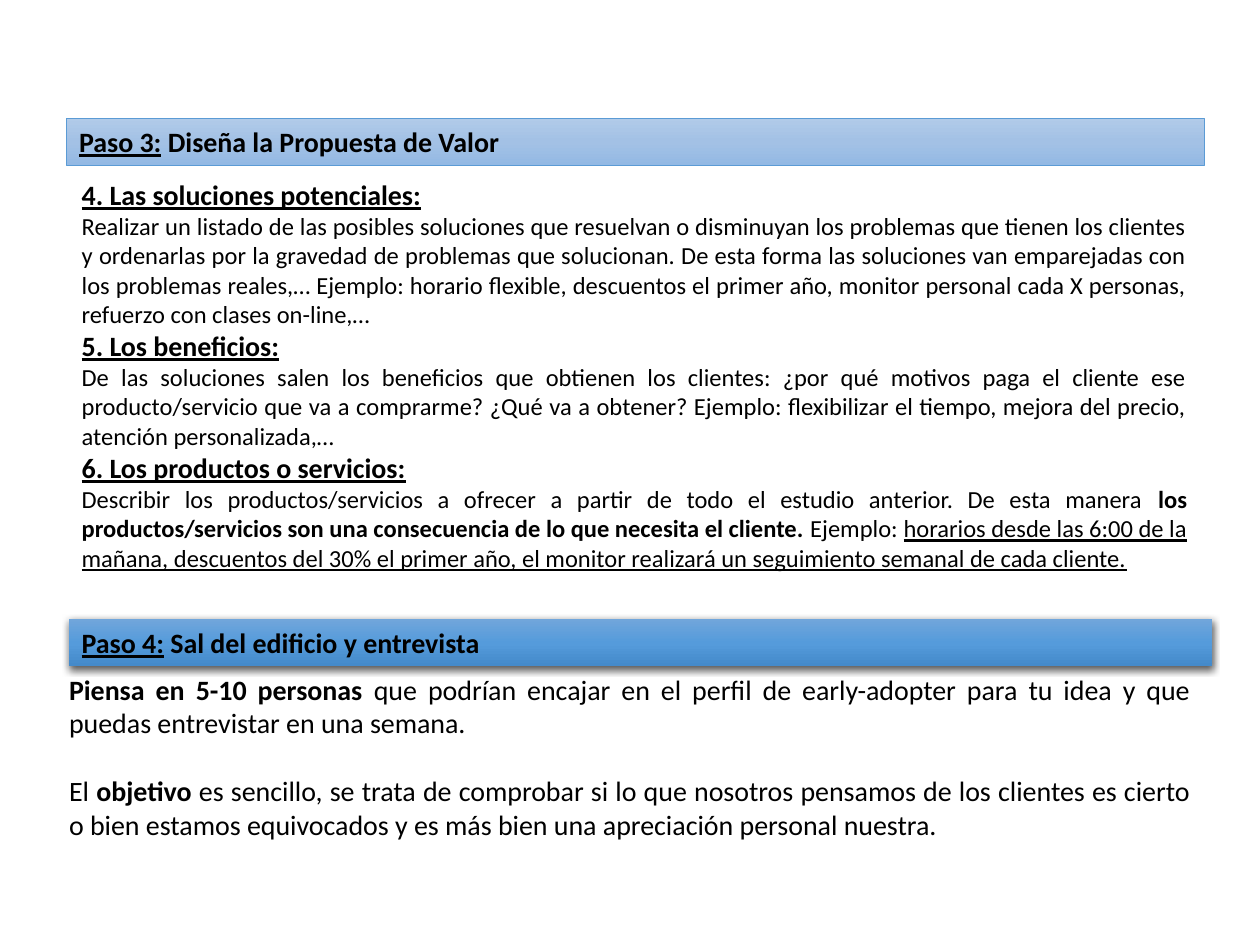
from lxml.etree import SubElement
from pptx import Presentation
from pptx.dml.color import RGBColor
from pptx.enum.shapes import MSO_SHAPE
from pptx.enum.text import MSO_ANCHOR, MSO_AUTO_SIZE, PP_ALIGN
from pptx.oxml import parse_xml
from pptx.oxml.ns import nsdecls, qn
from pptx.util import Inches, Pt

WIDE, HIGH = 10, 7.5
HEAD = {"size": Pt(16), "bold": True, "underline": True}
NAME = {"size": Pt(16), "bold": True}
LARGE = {"size": Pt(16)}
BODY = {"size": Pt(14)}
BOLD = {"size": Pt(14), "bold": True}
LINED = {"size": Pt(14), "underline": True}
LEFT, JUST = {"alignment": PP_ALIGN.LEFT}, {"alignment": PP_ALIGN.JUSTIFY}
APART = {"alignment": PP_ALIGN.JUSTIFY, "space_before": Pt(19.5)}
FRAME = {"word_wrap": True, "vertical_anchor": MSO_ANCHOR.TOP,
         "auto_size": MSO_AUTO_SIZE.SHAPE_TO_FIT_TEXT}

BARS = [
    {"at": (0.053, 0.125, 0.903, 0.05), "stops": ("B1CBE9", "A3C1E5", "93B9E4"),
     "line": "5B9BD5", "text": [(LEFT, [("Paso 3:", HEAD), (" Diseña la Propuesta de Valor", NAME)])]},
    {"at": (0.055, 0.655, 0.907, 0.05), "stops": ("71A6DB", "559BDB", "448ACA"),
     "line": None, "text": [(LEFT, [("Paso 4:", HEAD), (" Sal del edificio y entrevista", NAME)])]},
]
TEXTS = [
    ((0.055, 0.181, 0.897, 0.467), [
        (LEFT, [("4. Las soluciones potenciales:", HEAD)]),
        (JUST, [("Realizar un listado de las posibles soluciones que resuelvan o disminuyan los "
                 "problemas que tienen los clientes y ordenarlas por la gravedad de problemas que "
                 "solucionan. De esta forma las soluciones van emparejadas con los problemas "
                 "reales,… Ejemplo: horario flexible, descuentos el primer año, monitor personal "
                 "cada X personas, refuerzo con clases on-line,…", BODY)]),
        (LEFT, [("5. Los beneficios:", HEAD)]),
        (JUST, [("De las soluciones salen los beneficios que obtienen los clientes: ¿por qué "
                 "motivos paga el cliente ese producto/servicio que va a comprarme? ¿Qué va a "
                 "obtener? Ejemplo: flexibilizar el tiempo, mejora del precio, atención "
                 "personalizada,…", BODY)]),
        (LEFT, [("6. Los productos o servicios:", HEAD)]),
        (JUST, [("Describir los productos/servicios a ofrecer a partir de todo el estudio "
                 "anterior. De esta manera ", BODY),
                ("los productos/servicios son una consecuencia de lo que necesita el cliente. ", BOLD),
                ("Ejemplo: ", BODY),
                ("horarios desde las 6:00 de la mañana, descuentos del 30% el primer año, el "
                 "monitor realizará un seguimiento semanal de cada cliente.", LINED)]),
    ]),
    ((0.045, 0.705, 0.91, 0.23), [
        (JUST, [("Piensa en 5-10 personas ", NAME),
                ("que podrían encajar en el perfil de early-adopter para tu idea y que puedas "
                 "entrevistar en una semana.", LARGE)]),
        (APART, [("El ", LARGE), ("objetivo", NAME),
                 (" es sencillo, se trata de comprobar si lo que nosotros pensamos de los clientes "
                  "es cierto o bien estamos equivocados y es más bien una apreciación personal "
                  "nuestra.", LARGE)]),
    ]),
]


def paint(code):
    """Turn a hex string into a colour."""
    return RGBColor.from_string(code)


def place(at):
    """Turn shares of the slide into lengths."""
    return [Inches(part * side) for part, side in zip(at, (WIDE, HIGH) * 2)]


def apply(item, look):
    """Set each format value on an item."""
    for key, value in look.items():
        setattr(item, key, value)


def write(frame, paras):
    """Fill a text frame with styled paragraphs."""
    apply(frame, FRAME)
    for num, (form, runs) in enumerate(paras):
        para = frame.add_paragraph() if num else frame.paragraphs[0]
        apply(para, form)
        for words, look in runs:
            run = para.add_run()
            run.text = words
            apply(run.font, {"name": "Calibri", **look})
            run.font.color.rgb = paint("000000")


def shade(shape, stops):
    """Give a shape a downward gradient with even stops."""
    step = 100000 // (len(stops) - 1)
    marks = "".join(f'<a:gs pos="{num * step}"><a:srgbClr val="{code}"/></a:gs>'
                    for num, code in enumerate(stops))
    grad = parse_xml(f'<a:gradFill {nsdecls("a")} rotWithShape="1"><a:gsLst>{marks}</a:gsLst>'
                     '<a:lin ang="5400000" scaled="0"/></a:gradFill>')
    shape._element.spPr.find(qn("a:prstGeom")).addnext(grad)


def lift(shape):
    """Add a soft shadow below a shape."""
    effect = shape._element.spPr.find(qn("a:effectLst"))
    outer = SubElement(effect, qn("a:outerShdw"), blurRad=str(Pt(4.5)), dist=str(Pt(1.5)),
                       dir="5400000", algn="ctr", rotWithShape="0")
    tint = SubElement(outer, qn("a:srgbClr"), val="000000")
    SubElement(tint, qn("a:alpha"), val="63000")


def draw(slide, bar):
    """Draw one step bar."""
    shape = slide.shapes.add_shape(MSO_SHAPE.RECTANGLE, *place(bar["at"]))
    shape.shadow.inherit = False
    shade(shape, bar["stops"])
    if bar["line"]:
        shape.line.color.rgb = paint(bar["line"])
        shape.line.width = Pt(0.5)
    else:
        shape.line.fill.background()
        lift(shape)
    write(shape.text_frame, bar["text"])


def main():
    """Build the slide and save it."""
    deck = Presentation()
    deck.slide_width, deck.slide_height = Inches(WIDE), Inches(HIGH)
    slide = deck.slides.add_slide(deck.slide_layouts[6])
    for bar, (at, paras) in zip(BARS, TEXTS):
        draw(slide, bar)
        write(slide.shapes.add_textbox(*place(at)).text_frame, paras)
    deck.save("out.pptx")


if __name__ == "__main__":
    main()
